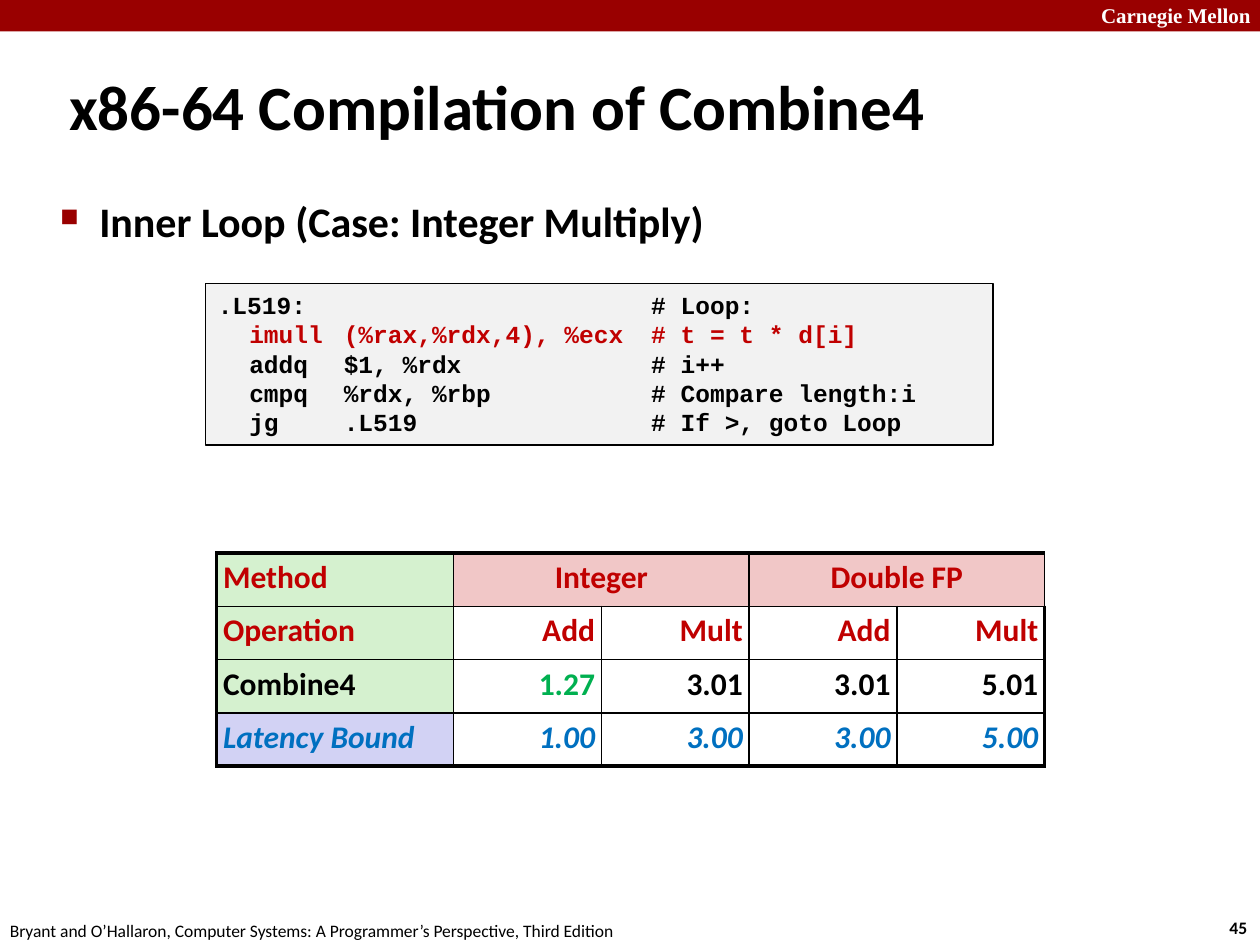
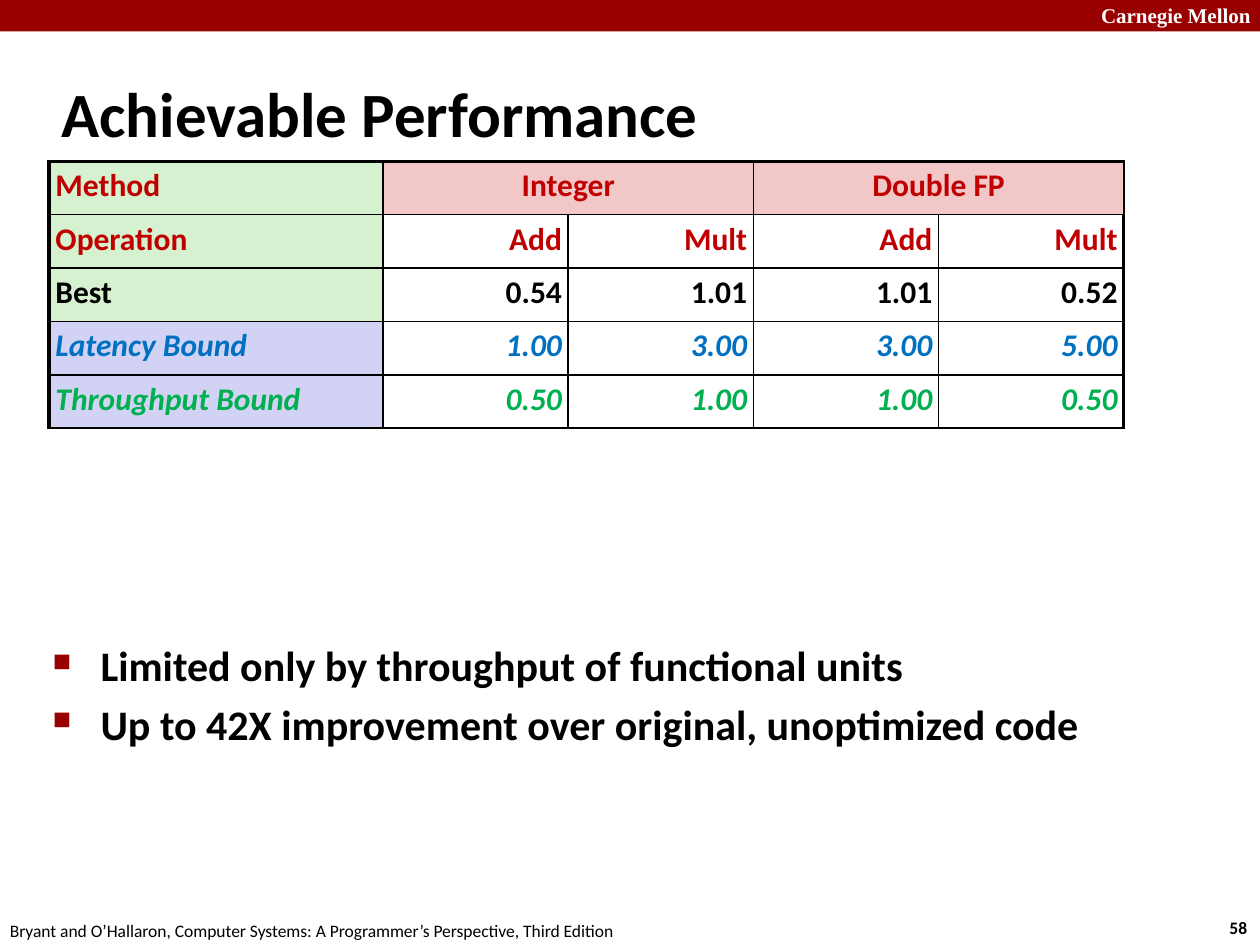
import dataclasses

import pptx
import pptx.dml.color
import pptx.enum.shapes
import pptx.enum.text
import pptx.oxml.ns
import pptx.util
from lxml import etree

ALIGN = pptx.enum.text.PP_ALIGN
ANCHOR = pptx.enum.text.MSO_ANCHOR
GRID_UNIT = pptx.util.Inches(0.1)
GRID_COLUMNS, GRID_ROWS = 100, 75


@dataclasses.dataclass(frozen=True)
class Theme:
    """Colours, fonts and type sizes shared by the slides."""
    crimson: str = "990000"
    red: str = "C00000"
    green: str = "00B050"
    blue: str = "0070C0"
    black: str = "000000"
    white: str = "FFFFFF"
    code_fill: str = "F2F2F2"
    method_fill: str = "D5F1CF"
    type_fill: str = "F1C7C7"
    bound_fill: str = "D2D2F4"
    body_font: str = "Calibri"
    code_font: str = "Courier New"
    brand_font: str = "Times New Roman"
    title_size: float = 36
    body_size: float = 24
    table_size: float = 18
    code_size: float = 14
    brand_size: float = 12
    footer_size: float = 10
    thin: float = 1
    thick: float = 2.25


THEME = Theme()


@dataclasses.dataclass(frozen=True)
class Box:
    """A region measured in grid columns and rows."""
    left: float
    top: float
    width: float
    height: float

    def place(self):
        """Return the region as slide lengths."""
        return [units(n) for n in (self.left, self.top, self.width, self.height)]


@dataclasses.dataclass(frozen=True)
class RowStyle:
    """The look of one table row."""
    label_fill: str
    ink: str
    italic: bool = False


HEADING = RowStyle(THEME.method_fill, THEME.red)
MEASURED = RowStyle(THEME.method_fill, THEME.black)
LATENCY = RowStyle(THEME.bound_fill, THEME.blue, True)
THROUGHPUT = RowStyle(THEME.bound_fill, THEME.green, True)

HEADING_ROWS = [
    (HEADING, ["Method", "Integer", "", "Double FP", ""]),
    (HEADING, ["Operation", "Add", "Mult", "Add", "Mult"]),
]
LATENCY_ROW = (LATENCY, ["Latency Bound", "1.00", "3.00", "3.00", "5.00"])

INNER_LOOP = """.L519:\t\t# Loop:
\timull\t(%rax,%rdx,4), %ecx\t# t = t * d[i]
\taddq\t$1, %rdx\t# i++
\tcmpq\t%rdx, %rbp\t# Compare length:i
\tjg\t.L519\t# If >, goto Loop"""


def units(count):
    """Convert grid units to a slide length."""
    return pptx.util.Emu(round(count * GRID_UNIT))


def rgb(code):
    """Turn a hex code into a colour."""
    return pptx.dml.color.RGBColor.from_string(code)


def add_element(parent, tag, **attributes):
    """Append a drawing element to a parent."""
    return etree.SubElement(parent, pptx.oxml.ns.qn(tag), attributes)


def style_runs(paragraph, size, colour=THEME.black, font=THEME.body_font, bold=True, italic=False):
    """Format every run of a paragraph."""
    for run in paragraph.runs:
        run.font.size = pptx.util.Pt(size)
        run.font.name = font
        run.font.bold = bold
        run.font.italic = italic
        run.font.color.rgb = rgb(colour)


def add_text(slide, box, text, wrap=True, anchor=ANCHOR.TOP, **look):
    """Add a text box whose paragraphs share one look."""
    frame = slide.shapes.add_textbox(*box.place()).text_frame
    frame.word_wrap = wrap
    frame.vertical_anchor = anchor
    frame.text = text
    for paragraph in frame.paragraphs:
        style_runs(paragraph, **look)
    return frame


def add_panel(slide, box, fill, outline=None):
    """Add a flat rectangle."""
    panel = slide.shapes.add_shape(pptx.enum.shapes.MSO_SHAPE.RECTANGLE, *box.place())
    panel.shadow.inherit = False
    panel.fill.solid()
    panel.fill.fore_color.rgb = rgb(fill)
    if outline:
        panel.line.color.rgb = rgb(outline)
        panel.line.width = pptx.util.Pt(THEME.thin)
    else:
        panel.line.fill.background()
    return panel


def add_frame(slide, number):
    """Add the top band, the page number and the footer."""
    add_panel(slide, Box(0, 0, GRID_COLUMNS, 2.5), THEME.crimson)
    add_text(slide, Box(86.4, -0.3, 14.3, 3), "Carnegie Mellon",
             size=THEME.brand_size, colour=THEME.white, font=THEME.brand_font)
    add_text(slide, Box(96.6, 72.3, 3.7, 2.7), str(number), wrap=False, size=THEME.footer_size)
    add_text(slide, Box(-0.2, 72.5, 50.8, 2.7),
             "Bryant and O’Hallaron, Computer Systems: A Programmer’s Perspective, Third Edition",
             wrap=False, size=THEME.footer_size, bold=False)


def add_title(slide, left, top, title):
    """Add the slide title."""
    add_text(slide, Box(left, top, 83, 8.3), title, anchor=ANCHOR.MIDDLE, size=THEME.title_size)


def add_bullets(slide, box, indent, points):
    """Add square-bulleted points with a hanging indent."""
    frame = add_text(slide, box, "\n".join(points), size=THEME.body_size)
    for index, paragraph in enumerate(frame.paragraphs):
        properties = paragraph._p.get_or_add_pPr()
        properties.set("marL", str(units(indent)))
        properties.set("indent", str(-units(indent)))
        add_element(add_element(properties, "a:buClr"), "a:srgbClr", val=THEME.crimson)
        add_element(properties, "a:buSzPct", val="60000")
        add_element(properties, "a:buChar", char="■")
        if index:
            paragraph.space_before = pptx.util.Pt(0.2 * THEME.body_size)


def add_listing(slide, box, code, hot_line):
    """Add a code panel with tab stops and one highlighted line."""
    frame = add_panel(slide, box, THEME.code_fill, THEME.black).text_frame
    frame.word_wrap = True
    frame.vertical_anchor = ANCHOR.TOP
    frame.text = code
    for index, paragraph in enumerate(frame.paragraphs):
        paragraph.alignment = ALIGN.LEFT
        stops = add_element(paragraph._p.get_or_add_pPr(), "a:tabLst")
        for stop in (2.5, 10, 34.4):
            add_element(stops, "a:tab", pos=str(units(stop)), algn="l")
        style_runs(paragraph, THEME.code_size, THEME.red if index == hot_line else THEME.black,
                   THEME.code_font)


def set_borders(cell, **widths):
    """Draw the cell's left, right, top and bottom borders."""
    for side in "LRTB":
        line = add_element(cell._tc.get_or_add_tcPr(), f"a:ln{side}",
                           w=str(pptx.util.Pt(widths[side])))
        add_element(add_element(line, "a:solidFill"), "a:srgbClr", val=THEME.black)


def fill_cell(cell, text, fill, ink, italic, alignment):
    """Set a cell's margins, fill and text."""
    cell.margin_left = cell.margin_right = units(0.5)
    cell.margin_top = cell.margin_bottom = units(0.5)
    if fill:
        cell.fill.solid()
        cell.fill.fore_color.rgb = rgb(fill)
    else:
        cell.fill.background()
    cell.text = text
    paragraph = cell.text_frame.paragraphs[0]
    paragraph.alignment = alignment
    paragraph.line_spacing = 0.95
    style_runs(paragraph, THEME.table_size, ink, italic=italic)


def add_timings(slide, box, label_width, rows, bottom=THEME.thin, best=None):
    """Add a timing table with paired columns under each data type."""
    last_row, last_column = len(rows) - 1, len(rows[0][1]) - 1
    table = slide.shapes.add_table(last_row + 1, last_column + 1, *box.place()).table
    table.first_row = table.horz_banding = False
    for index, column in enumerate(table.columns):
        column.width = units((box.width - label_width) / last_column if index else label_width)
    for r, (style, texts) in enumerate(rows):
        table.rows[r].height = units(box.height / len(rows))
        for c, text in enumerate(texts):
            cell = table.cell(r, c)
            set_borders(cell, L=THEME.thin if c else THEME.thick,
                        R=THEME.thick if c == last_column else THEME.thin,
                        T=THEME.thin if r else THEME.thick,
                        B=bottom if r == last_row else THEME.thin)
            if c == 0:
                fill, alignment = style.label_fill, ALIGN.LEFT
            elif r == 0:
                fill, alignment = THEME.type_fill, ALIGN.CENTER
            else:
                fill, alignment = None, ALIGN.RIGHT
            ink = THEME.green if (r, c) == best else style.ink
            fill_cell(cell, text, fill, ink, style.italic, alignment)
    for first in range(1, last_column, 2):
        table.cell(0, first).merge(table.cell(0, first + 1))


def build_compilation(slide):
    """Build the slide on the compiled inner loop."""
    add_frame(slide, 45)
    add_title(slide, 4.5, 4.2, "x86-64 Compilation of Combine4")
    add_bullets(slide, Box(3.8, 15, 90.3, 7.5), 3.1, ["Inner Loop (Case: Integer Multiply)"])
    add_listing(slide, Box(16.3, 22.5, 62.5, 12.8), INNER_LOOP, hot_line=1)
    combine4 = (MEASURED, ["Combine4", "1.27", "3.01", "3.01", "5.01"])
    add_timings(slide, Box(17.2, 43.9, 65.7, 16.9), 18.8, HEADING_ROWS + [combine4, LATENCY_ROW],
                bottom=THEME.thick, best=(2, 1))


def build_performance(slide):
    """Build the slide on achievable performance."""
    add_frame(slide, 58)
    add_title(slide, 3.9, 4.8, "Achievable Performance")
    add_bullets(slide, Box(3.2, 50.3, 90.9, 20.5), 3.8,
                ["Limited only by throughput of functional units",
                 "Up to 42X improvement over original, unoptimized code"])
    fastest = (MEASURED, ["Best", "0.54", "1.01", "1.01", "0.52"])
    throughput = (THROUGHPUT, ["Throughput Bound", "0.50", "1.00", "1.00", "0.50"])
    add_timings(slide, Box(3.9, 12.8, 85.3, 21.2), 26.5,
                HEADING_ROWS + [fastest, LATENCY_ROW, throughput])


def main():
    """Build and save the presentation."""
    deck = pptx.Presentation()
    deck.slide_width, deck.slide_height = units(GRID_COLUMNS), units(GRID_ROWS)
    for build in (build_compilation, build_performance):
        build(deck.slides.add_slide(deck.slide_layouts[6]))
    deck.save("out.pptx")


if __name__ == "__main__":
    main()
